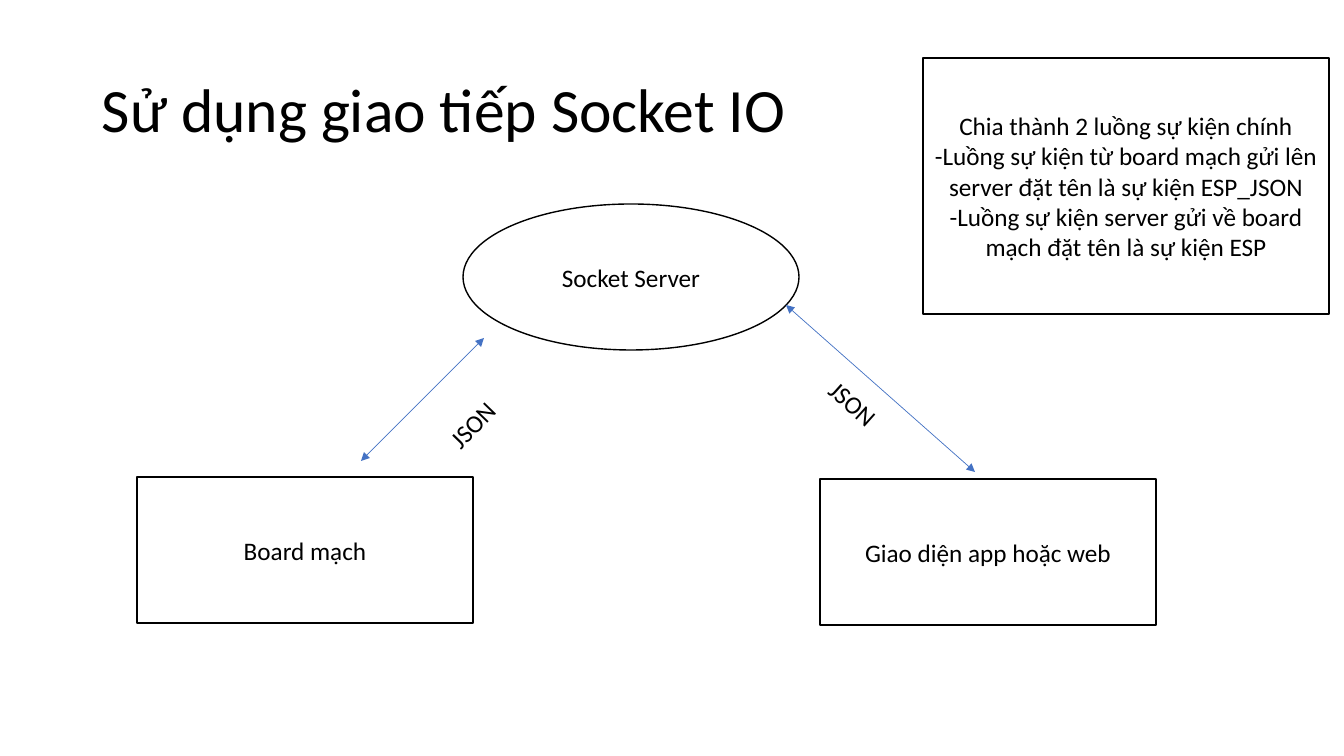
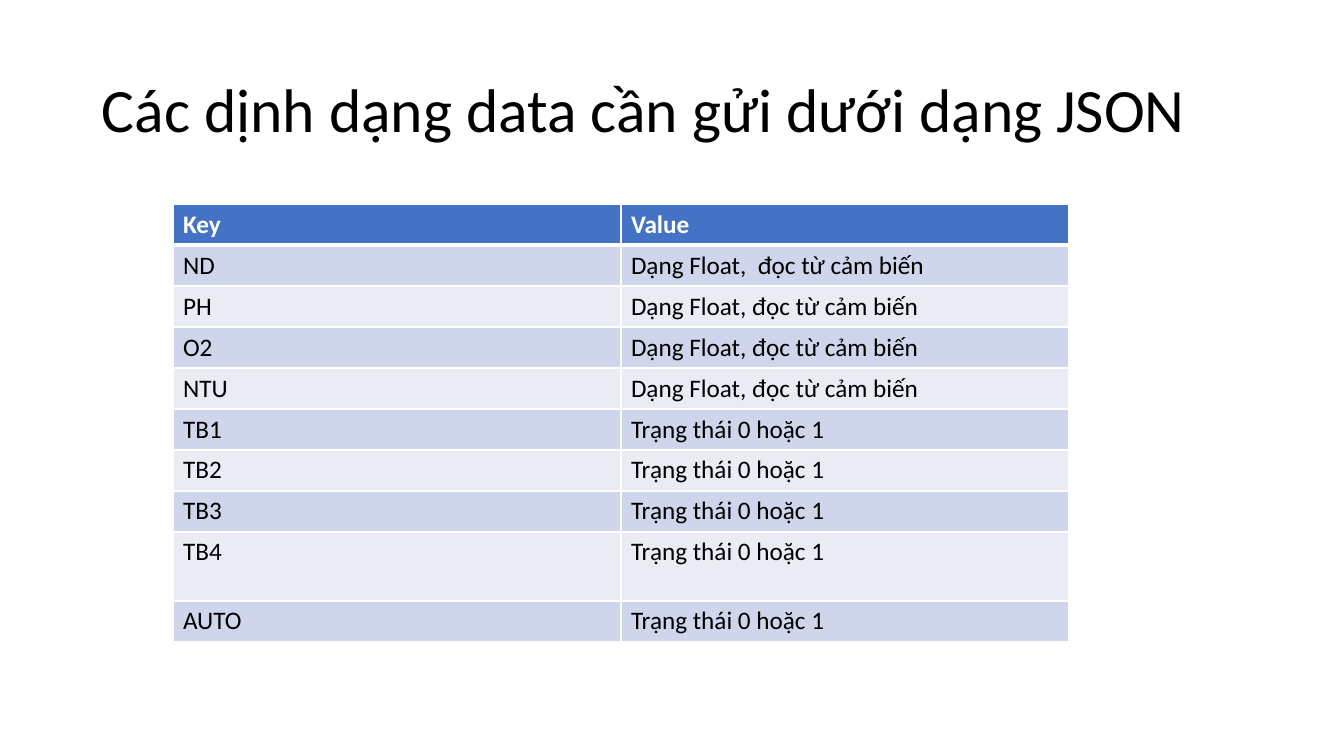
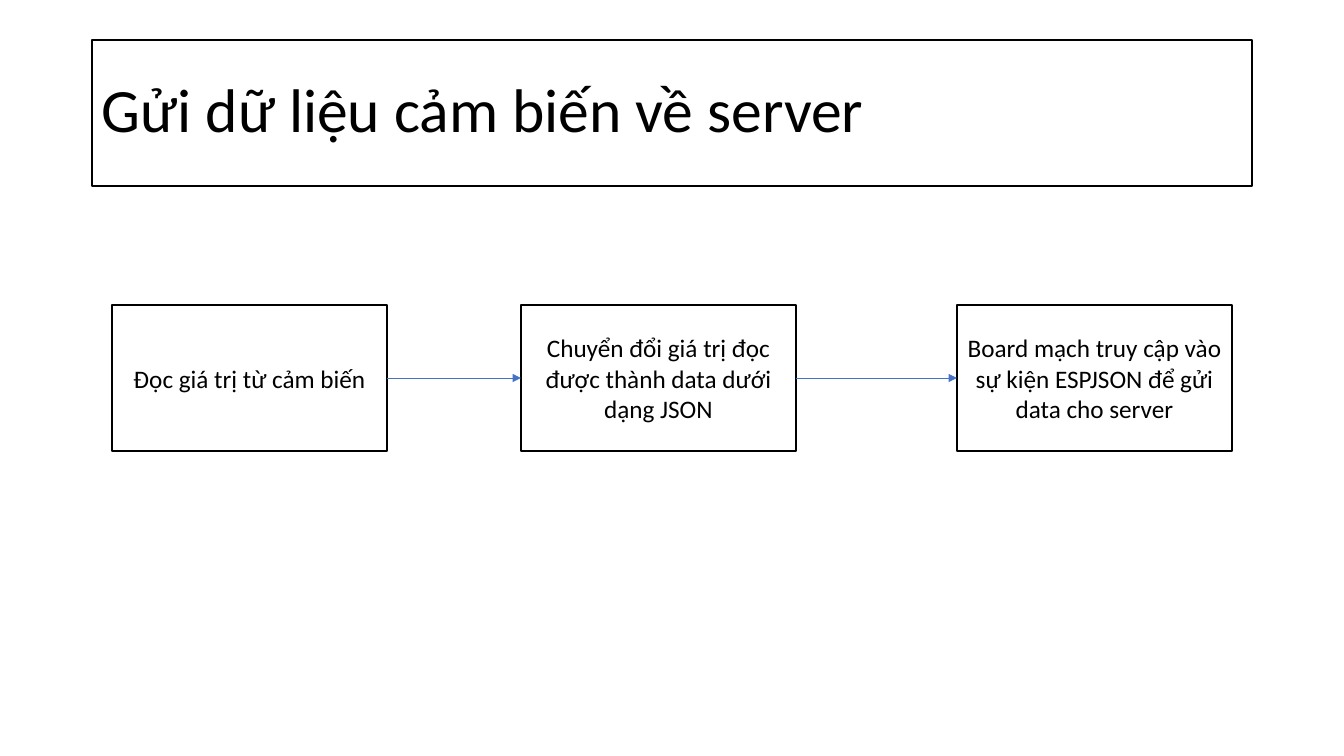
from dataclasses import dataclass

from lxml import etree
from pptx import Presentation
from pptx.dml.color import RGBColor
from pptx.enum.shapes import MSO_CONNECTOR, MSO_SHAPE
from pptx.enum.text import MSO_ANCHOR, MSO_AUTO_SIZE, PP_ALIGN
from pptx.oxml.ns import qn
from pptx.shapes.base import BaseShape
from pptx.slide import Slide
from pptx.table import _Cell
from pptx.text.text import TextFrame
from pptx.util import Emu, Pt

RECT, OVAL = MSO_SHAPE.RECTANGLE, MSO_SHAPE.OVAL
LINE = MSO_CONNECTOR.STRAIGHT
MIDDLE, TOP = MSO_ANCHOR.MIDDLE, MSO_ANCHOR.TOP
CENTER, LEFT = PP_ALIGN.CENTER, PP_ALIGN.LEFT
GROW = MSO_AUTO_SIZE.SHAPE_TO_FIT_TEXT

COLORS = {"ink": "000000", "paper": "FFFFFF", "blue": "4472C4",
          "dark": "CFD5EA", "light": "E9EBF5"}
FONT = "Calibri"
SCALE = 914400 / 100.8
NODE_H = 146


@dataclass
class Box:
    text: str
    x: int
    y: int
    w: int
    h: int = NODE_H
    kind: MSO_SHAPE = RECT


@dataclass
class Arrow:
    x1: int
    y1: int
    x2: int
    y2: int
    both: bool = False


@dataclass
class Label:
    text: str
    x: int
    y: int
    angle: float


def px(n: float) -> Emu:
    return Emu(round(n * SCALE))


def color(name: str) -> RGBColor:
    return RGBColor.from_string(COLORS[name])


# Shared text and shape styles
def write(frame: TextFrame, text: str, size: int = 18, align: PP_ALIGN = LEFT,
          ink: str = "ink", bold: bool = False, space: float = 1.0) -> None:
    frame.text = text
    for para in frame.paragraphs:
        para.alignment = align
        para.line_spacing = space
        for run in para.runs:
            font = run.font
            font.name, font.size, font.bold = FONT, Pt(size), bold
            font.color.rgb = color(ink)


def frame_in(shape: BaseShape) -> None:
    shape.fill.solid()
    shape.fill.fore_color.rgb = color("paper")
    shape.line.color.rgb = color("ink")
    shape.line.width = Pt(1)


def add_title(slide: Slide, text: str, framed: bool = False) -> None:
    title = slide.shapes.add_textbox(px(92), px(40), px(1160), px(NODE_H))
    if framed:
        frame_in(title)
    frame = title.text_frame
    frame.word_wrap = True
    frame.vertical_anchor = MIDDLE
    write(frame, text, size=44, space=0.9)


def add_box(slide: Slide, box: Box) -> None:
    shape = slide.shapes.add_shape(box.kind, px(box.x), px(box.y),
                                   px(box.w), px(box.h))
    shape.shadow.inherit = False
    frame_in(shape)
    shape.text_frame.word_wrap = True
    shape.text_frame.vertical_anchor = MIDDLE
    write(shape.text_frame, box.text, align=CENTER)


def add_arrow(slide: Slide, arrow: Arrow) -> None:
    link = slide.shapes.add_connector(LINE, px(arrow.x1), px(arrow.y1),
                                      px(arrow.x2), px(arrow.y2))
    link.line.color.rgb = color("blue")
    link.line.width = Pt(0.5)
    props = link.element.spPr
    line = props.find(qn("a:ln"))
    for end in ("a:headEnd", "a:tailEnd") if arrow.both else ("a:tailEnd",):
        etree.SubElement(line, qn(end), type="triangle")
    etree.SubElement(props, qn("a:effectLst"))


def add_label(slide: Slide, label: Label) -> None:
    shape = slide.shapes.add_textbox(px(label.x), px(label.y), px(104), px(40))
    shape.rotation = label.angle
    shape.text_frame.word_wrap = True
    shape.text_frame.auto_size = GROW
    write(shape.text_frame, label.text)


def add_edges(cell: _Cell, widths: dict[str, int]) -> None:
    props = cell._tc.get_or_add_tcPr()
    for i, (side, width) in enumerate(widths.items()):
        edge = etree.Element(qn(f"a:ln{side}"), w=str(Pt(width)))
        fill = etree.SubElement(edge, qn("a:solidFill"))
        etree.SubElement(fill, qn("a:srgbClr"), val=COLORS["paper"])
        props.insert(i, edge)


def add_grid(slide: Slide, rows: list[tuple[str, str]], tall: str) -> None:
    heights = [69 if key == tall else 41 for key, _ in rows]
    grid = slide.shapes.add_table(len(rows), 2, px(173), px(204), px(896),
                                  px(sum(heights))).table
    for r, row in enumerate(rows):
        grid.rows[r].height = px(heights[r])
        head = r == 0
        shade = "blue" if head else "dark" if r % 2 else "light"
        for c, text in enumerate(row):
            cell = grid.cell(r, c)
            cell.fill.solid()
            cell.fill.fore_color.rgb = color(shade)
            cell.vertical_anchor = TOP
            write(cell.text_frame, text, ink="paper" if head else "ink",
                  bold=head)
            add_edges(cell, {"L": 1, "R": 1, "T": 3 if r == 1 else 1,
                             "B": 3 if head else 1})


deck = Presentation()
deck.slide_width, deck.slide_height = px(1344), px(756)
blank = deck.slide_layouts[6]

# Slide 1: socket server and its two clients
net = deck.slides.add_slide(blank)
add_title(net, "Sử dụng giao tiếp Socket IO")
NOTE = "\n".join((
    "Chia thành 2 luồng sự kiện chính",
    "-Luồng sự kiện từ board mạch gửi lên server đặt tên là sự kiện ESP_JSON",
    "-Luồng sự kiện server gửi về board mạch đặt tên là sự kiện ESP",
))
for node in (Box("Socket Server", 463, 204, 336, kind=OVAL),
             Box("Board mạch", 137, 477, 336),
             Box("Giao diện app hoặc web", 820, 479, 336)):
    add_box(net, node)
for link in (Arrow(484, 338, 361, 461, True), Arrow(786, 305, 975, 472, True)):
    add_arrow(net, link)
for label in (Label("JSON", 431, 393, 314.1), Label("JSON", 813, 394, 41.7)):
    add_label(net, label)
add_box(net, Box(NOTE, 923, 58, 406, 256))

# Slide 2: keys and values
data = deck.slides.add_slide(blank)
add_title(data, "Các dịnh dạng data cần gửi dưới dạng JSON")
FLOAT = "Dạng Float, đọc từ cảm biến"
STATE = "Trạng thái 0 hoặc 1"
add_grid(data, [
    ("Key", "Value"),
    ("ND", "Dạng Float,  đọc từ cảm biến"),
    *((key, FLOAT) for key in ("PH", "O2", "NTU")),
    *((key, STATE) for key in ("TB1", "TB2", "TB3", "TB4", "AUTO")),
], tall="TB4")

# Slide 3: steps from sensor to server
flow = deck.slides.add_slide(blank)
add_title(flow, "Gửi dữ liệu cảm biến về server", framed=True)
STEP_Y, STEP_W = 305, 275
steps = [Box(text, x, STEP_Y, STEP_W) for x, text in (
    (112, "Đọc giá trị từ cảm biến"),
    (521, "Chuyển đổi giá trị đọc được thành data dưới dạng JSON"),
    (957, "Board mạch truy cập vào sự kiện ESPJSON để gửi data cho server"),
)]
for step in steps:
    add_box(flow, step)
MID = STEP_Y + NODE_H // 2
for here, after in zip(steps, steps[1:]):
    add_arrow(flow, Arrow(here.x + STEP_W, MID, after.x, MID))

deck.save("out.pptx")
